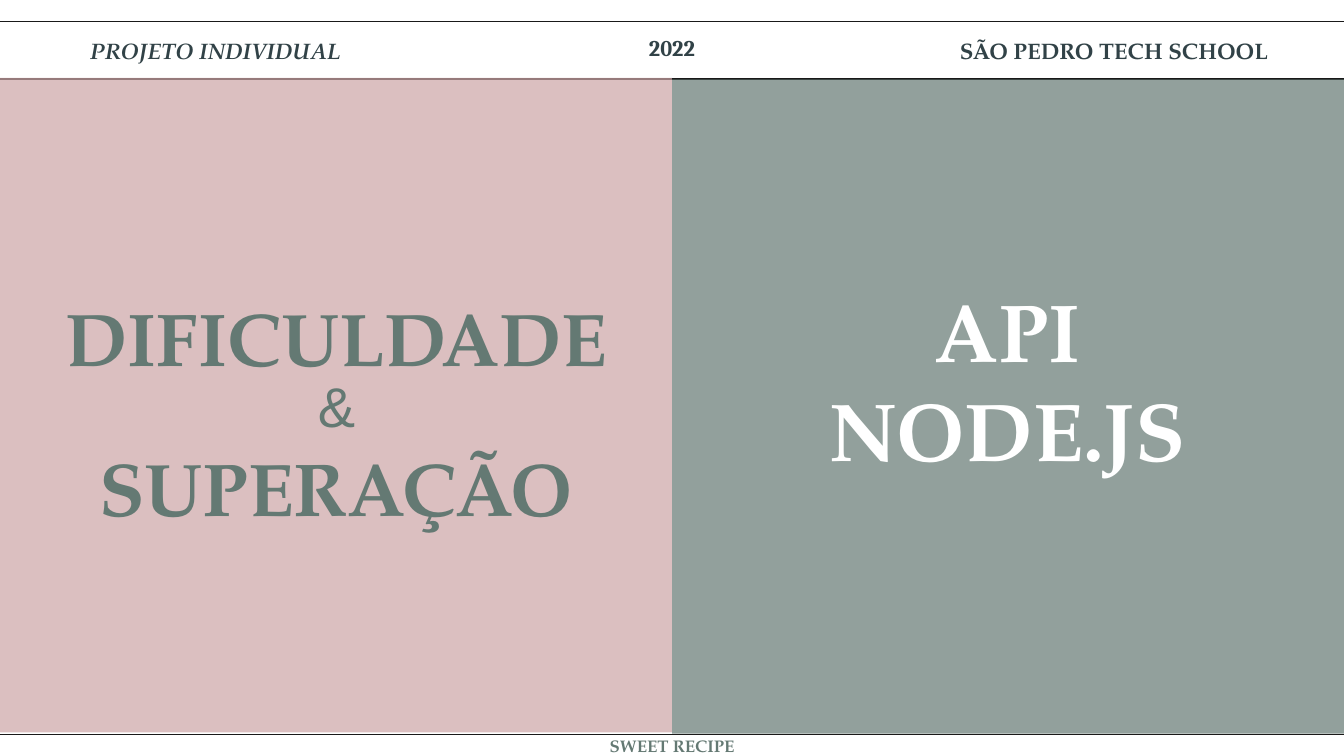
from dataclasses import dataclass

from lxml import etree
from pptx import Presentation
from pptx import util as u
from pptx.dml.color import RGBColor
from pptx.enum import shapes, text
from pptx.oxml.ns import qn
from pptx.slide import Slide

WHITE = RGBColor(0xFF, 0xFF, 0xFF)
BLACK = RGBColor(0x19, 0x19, 0x19)
SLATE = RGBColor(0x31, 0x42, 0x47)
GREEN = RGBColor(0x64, 0x79, 0x73)
PINK = RGBColor(0xCC, 0xA4, 0xA6)

SERIF = "TeX Gyre Pagella"
COLUMNS, ROWS = 100, 56.25
CELL = u.Inches(10) // COLUMNS
OPACITY = 70


@dataclass(frozen=True)
class Area:
    """A rectangle measured in grid columns and rows."""
    column: float
    row: float
    columns: float
    rows: float

    def lengths(self) -> list[u.Emu]:
        """Return left, top, width and height."""
        return [u.Emu(round(cells * CELL))
                for cells in (self.column, self.row, self.columns, self.rows)]


@dataclass(frozen=True)
class Label:
    """A piece of text in one style."""
    words: str
    area: Area
    size: float
    color: RGBColor
    font: str = SERIF
    bold: bool = True
    italic: bool = False
    align: text.PP_ALIGN = text.PP_ALIGN.CENTER


@dataclass(frozen=True)
class Panel:
    """A translucent half of the slide."""
    area: Area
    color: RGBColor


FRAMES = [Area(-1.8, row, COLUMNS + 3.6, rows) for row, rows in ((1.6, 4.3), (54.65, 2.2))]

GREEN_PANEL = Panel(Area(COLUMNS / 2, 5.9, 50.5, 48.7), GREEN)
PINK_PANEL = Panel(Area(0, 5.8, COLUMNS / 2, 48.7), PINK)

MARGIN_LABELS = [
    Label("PROJETO INDIVIDUAL", Area(5.7, 2.4, 25.8, 2.7), 12, SLATE,
          italic=True, align=text.PP_ALIGN.LEFT),
    Label("2022", Area(43.95, 2.2, 12.1, 2.7), 12, SLATE, font="Cambria"),
    Label("SÃO PEDRO TECH SCHOOL", Area(68.5, 2.4, 28.8, 2.7), 12, SLATE),
    Label("SWEET RECIPE", Area(41.05, 54.75, 17.9, 1.5), 9, GREEN),
]
TOPIC = Label("API NODE.JS", Area(55.03, 25.22, 39.9, 6), 44, WHITE)
HEADING = [
    Label("SUPERAÇÃO", Area(3.4, 32.2, 43.2, 8), 40, GREEN),
    Label("DIFICULDADE", Area(3.45, 19.95, 43.2, 10.2), 40, GREEN),
    Label("&", Area(18.9, 28.1, 12.3, 4.1), 30, GREEN, font="Arial", bold=False),
]


def draw_frame(slide: Slide, area: Area) -> None:
    """Draw an outlined band."""
    shape = slide.shapes.add_shape(shapes.MSO_SHAPE.RECTANGLE, *area.lengths())
    shape.shadow.inherit = False
    shape.fill.background()
    shape.line.color.rgb = BLACK
    shape.line.width = u.Pt(0.75)


def draw_panel(slide: Slide, panel: Panel) -> None:
    """Draw a translucent panel without an outline."""
    shape = slide.shapes.add_shape(shapes.MSO_SHAPE.RECTANGLE, *panel.area.lengths())
    shape.shadow.inherit = False
    shape.fill.solid()
    shape.fill.fore_color.rgb = panel.color
    shape.line.fill.background()
    color = shape._element.spPr.find(qn("a:solidFill")).find(qn("a:srgbClr"))
    etree.SubElement(color, qn("a:alpha"), val=str(OPACITY * 1000))


def draw_label(slide: Slide, label: Label) -> None:
    """Draw a vertically centred text box."""
    frame = slide.shapes.add_textbox(*label.area.lengths()).text_frame
    frame.word_wrap = True
    frame.vertical_anchor = text.MSO_ANCHOR.MIDDLE
    frame.margin_left = frame.margin_right = u.Inches(0.1)
    frame.margin_top = frame.margin_bottom = u.Inches(0.1)
    frame.text = label.words
    paragraph = frame.paragraphs[0]
    paragraph.alignment = label.align
    font = paragraph.runs[0].font
    font.name = label.font
    font.size = u.Pt(label.size)
    font.bold = label.bold
    font.italic = label.italic
    font.color.rgb = label.color


def main() -> None:
    """Build and save the slide."""
    presentation = Presentation()
    presentation.slide_width = u.Emu(COLUMNS * CELL)
    presentation.slide_height = u.Emu(round(ROWS * CELL))
    slide = presentation.slides.add_slide(presentation.slide_layouts[6])
    for frame in FRAMES:
        draw_frame(slide, frame)
    for label in MARGIN_LABELS:
        draw_label(slide, label)
    draw_panel(slide, GREEN_PANEL)
    draw_label(slide, TOPIC)
    draw_panel(slide, PINK_PANEL)
    for label in HEADING:
        draw_label(slide, label)
    presentation.save("out.pptx")


if __name__ == "__main__":
    main()
